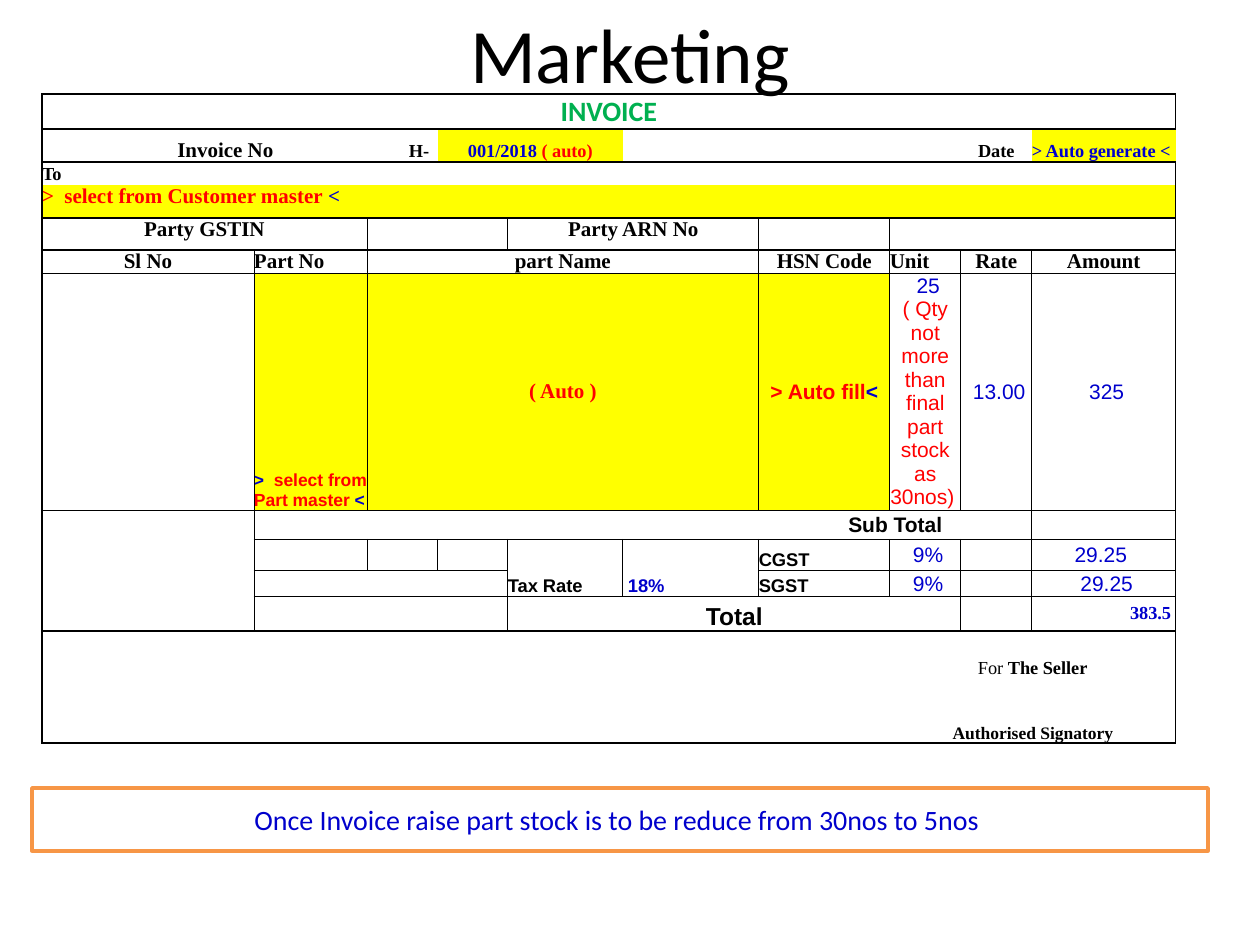
from lxml import etree
from pptx import Presentation
from pptx.dml.color import RGBColor
from pptx.enum.shapes import MSO_SHAPE
from pptx.enum.text import MSO_ANCHOR, PP_ALIGN
from pptx.oxml.ns import qn
from pptx.util import Pt

LEFT, CENTER, RIGHT = PP_ALIGN.LEFT, PP_ALIGN.CENTER, PP_ALIGN.RIGHT
TOP, MIDDLE, BOTTOM = MSO_ANCHOR.TOP, MSO_ANCHOR.MIDDLE, MSO_ANCHOR.BOTTOM
RECT = MSO_SHAPE.RECTANGLE
SCALE = 914400 / 126
BLACK, BLUE, RED, GREEN = "000000", "0000CC", "FF0000", "00B050"
YELLOW, ORANGE, WHITE = "FFFF00", "F79646", "FFFFFF"
TIMES, ARIAL, CALIBRI = "Times New Roman", "Arial", "Calibri"


def add_run(p, text, font, size, color, bold=False):
    r = p.add_run()
    r.text = text
    r.font.name, r.font.size, r.font.bold = font, Pt(size), bold
    r.font.color.rgb = RGBColor.from_string(color)


def set_borders(cell, edges):
    tcPr = cell._tc.get_or_add_tcPr()
    for i, side in enumerate("LRTB"):
        ln = etree.Element(qn(f"a:ln{side}"))
        if side in edges or side.lower() in edges:
            ln.set("w", "12700" if side in edges else "6350")
            fill = etree.SubElement(ln, qn("a:solidFill"))
            etree.SubElement(fill, qn("a:srgbClr"), val=BLACK)
        else:
            etree.SubElement(ln, qn("a:noFill"))
        tcPr.insert(i, ln)


col_px = [212, 113, 42, 29, 70, 115, 136, 131, 71, 71, 144]
row_px = [35, 33, 23, 33, 32, 23, 237, 29, 31, 26, 35, 21, 26, 21, 22, 22]

borders = [
    "11:LTRB",
    "3:LTB 1:TB 2:TB" + " 1:TB" * 5,
    "11:LTR",
    "11:LRB",
    "2:LTrB 3:lTrB 2:lTrB 1:lTrB 3:lTRB",
    "1:LTrb 1:ltrb 5:lTrb" + " 1:lTrb" * 3 + " 1:lTRb",
    "1:Ltrb 1:ltrb 5:ltrb" + " 1:ltrb" * 3 + " 1:ltRb",
    "1:Ltr 1:ltb 2:tb" + " 1:tb" * 3 + " 3:trb 1:ltRb",
    "1:Lr 1:ltrb 2:ltrb" + " 1:ltrb" * 7,
    "1:Lr 4:ltrb" + " 1:lrb" * 2 + " 1:ltrb" * 4,
    "1:LrB 4:ltrB 4:ltrB 1:ltrB 1:ltRB",
    "1:LT 1:T 2:T" + " 1:T" * 6 + " 1:TR",
    "1:L 1: 2:" + " 1:" * 4 + " 3:R",
    "1:L 1: 2:" + " 1:" * 6 + " 1:R",
    "1:L 1: 2:" + " 1:" * 6 + " 1:R",
    "1:LB 1:B 2:B" + " 1:B" * 4 + " 3:RB",
]

texts = {
    (0, 0): (BOTTOM, CENTER, CALIBRI, 16, [("INVOICE", GREEN, True)]),
    (1, 0): (BOTTOM, CENTER, TIMES, 12, [("Invoice No", BLACK, True)]),
    (1, 3): (BOTTOM, LEFT, TIMES, 10.5, [("H-", BLACK, True)]),
    (1, 4): (BOTTOM, CENTER, TIMES, 10.5,
             [("001/2018", BLUE, True), (" ( auto)", RED, True)]),
    (1, 9): (BOTTOM, CENTER, TIMES, 10.5, [("Date", BLACK, True)]),
    (1, 10): (BOTTOM, LEFT, TIMES, 10.5, [("> Auto generate <", BLUE, True)]),
    (2, 0): (BOTTOM, LEFT, TIMES, 10.5, [("To", BLACK, True)]),
    (3, 0): (TOP, LEFT, TIMES, 12,
             [(">  select from Customer master ", RED, True), ("<", BLUE, True)]),
    (4, 0): (TOP, CENTER, TIMES, 12, [("Party GSTIN", BLACK, True)]),
    (4, 5): (TOP, CENTER, TIMES, 12, [("Party ARN No", BLACK, True)]),
    (6, 1): (BOTTOM, LEFT, ARIAL, 10,
             [(">  ", BLUE, True), ("select from Part master ", RED, True), ("<", BLUE, True)]),
    (6, 2): (MIDDLE, CENTER, TIMES, 12, [("( Auto )", RED, True)]),
    (6, 7): (MIDDLE, CENTER, ARIAL, 12, [("> Auto fill", RED, True), ("<", BLUE, True)]),
    (6, 8): (MIDDLE, CENTER, ARIAL, 12,
             [(" 25 ", BLUE, False),
              ("( Qty not more than final part stock as 30nos) ", RED, False)]),
    (6, 9): (MIDDLE, CENTER, ARIAL, 12, [(" 13.00", BLUE, False)]),
    (6, 10): (MIDDLE, CENTER, ARIAL, 12, [(" 325", BLUE, False)]),
    (7, 7): (MIDDLE, CENTER, ARIAL, 12, [("Sub Total", BLACK, True)]),
    (8, 5): (BOTTOM, LEFT, ARIAL, 10.5, [("Tax Rate", BLACK, True)]),
    (8, 6): (BOTTOM, LEFT, ARIAL, 10.5, [(" ", BLACK, True), ("18%", BLUE, True)]),
    (8, 7): (BOTTOM, LEFT, ARIAL, 10.5, [("CGST", BLACK, True)]),
    (8, 8): (MIDDLE, CENTER, ARIAL, 12, [(" 9%", BLUE, False)]),
    (8, 10): (MIDDLE, CENTER, ARIAL, 12, [("29.25 ", BLUE, False)]),
    (9, 7): (BOTTOM, LEFT, ARIAL, 10.5, [("SGST", BLACK, True)]),
    (9, 8): (BOTTOM, CENTER, ARIAL, 12, [(" 9%", BLUE, False)]),
    (9, 10): (BOTTOM, CENTER, ARIAL, 12, [(" 29.25", BLUE, False)]),
    (10, 5): (BOTTOM, CENTER, ARIAL, 14, [("Total", BLACK, True)]),
    (10, 10): (MIDDLE, RIGHT, TIMES, 10.5, [("383.5 ", BLUE, True)]),
    (12, 8): (BOTTOM, CENTER, TIMES, 10.5,
              [("For ", BLACK, False), ("The Seller", BLACK, True)]),
    (15, 8): (BOTTOM, CENTER, TIMES, 10, [("Authorised Signatory", BLACK, True)]),
}
headings = {0: "Sl No", 1: "Part No", 2: "part Name", 7: "HSN Code",
            8: "Unit", 9: "Rate", 10: "Amount"}
for c, text in headings.items():
    align = LEFT if text in ("Part No", "Unit") else CENTER
    texts[5, c] = (BOTTOM, align, TIMES, 12, [(text, BLACK, True)])

yellow = {(1, 4), (1, 10), (3, 0), (6, 1), (6, 2), (6, 7)}

prs = Presentation()
prs.slide_width, prs.slide_height = round(1260 * SCALE), round(945 * SCALE)
s = prs.slides.add_slide(prs.slide_layouts[5])

title = s.shapes.title
title.left, title.top, title.width, title.height = [round(v * SCALE) for v in (63, 0, 1134, 105)]
title.text_frame.vertical_anchor = MIDDLE
p = title.text_frame.paragraphs[0]
p.alignment = CENTER
add_run(p, "Marketing", CALIBRI, 44, BLACK)

box = [round(v * SCALE) for v in (42, 94, sum(col_px), sum(row_px))]
table = s.shapes.add_table(len(row_px), len(col_px), *box).table
table.first_row = table.horz_banding = False
for col, width in zip(table.columns, col_px):
    col.width = round(width * SCALE)
for row, height in zip(table.rows, row_px):
    row.height = round(height * SCALE)

for r, line in enumerate(borders):
    first = 0
    for entry in line.split():
        span, edges = entry.split(":")
        last = first + int(span) - 1
        for c in range(first, last + 1):
            cell = table.cell(r, c)
            cell.margin_left = cell.margin_right = cell.margin_top = cell.margin_bottom = 0
            if (r, c) in yellow:
                cell.fill.solid()
                cell.fill.fore_color.rgb = RGBColor.from_string(YELLOW)
            else:
                cell.fill.background()
            inner = "" if c == first else "lL" if c == last else "lLrR"
            set_borders(cell, [e for e in edges if e not in inner])
            p = cell.text_frame.paragraphs[0]
            if (r, c) in texts:
                anchor, align, font, size, runs = texts[r, c]
                cell.vertical_anchor = anchor
                p.alignment = align
                for text, color, bold in runs:
                    add_run(p, text, font, size, color, bold)
            else:
                etree.SubElement(p._p, qn("a:endParaRPr"), sz="800")
        if last > first:
            table.cell(r, first).merge(table.cell(r, last))
        first = last + 1
for c in (5, 6):
    table.cell(8, c).merge(table.cell(9, c))

note = s.shapes.add_shape(RECT, *[round(v * SCALE) for v in (32, 788, 1176, 63)])
note.shadow.inherit = False
note.fill.solid()
note.fill.fore_color.rgb = RGBColor.from_string(WHITE)
note.line.color.rgb = RGBColor.from_string(ORANGE)
note.line.width = Pt(2)
tf = note.text_frame
tf.word_wrap = True
tf.vertical_anchor = MIDDLE
p = tf.paragraphs[0]
p.alignment = CENTER
add_run(p, "Once Invoice raise part stock is to be reduce from 30nos to 5nos ", CALIBRI, 16, BLUE)

prs.save("out.pptx")
